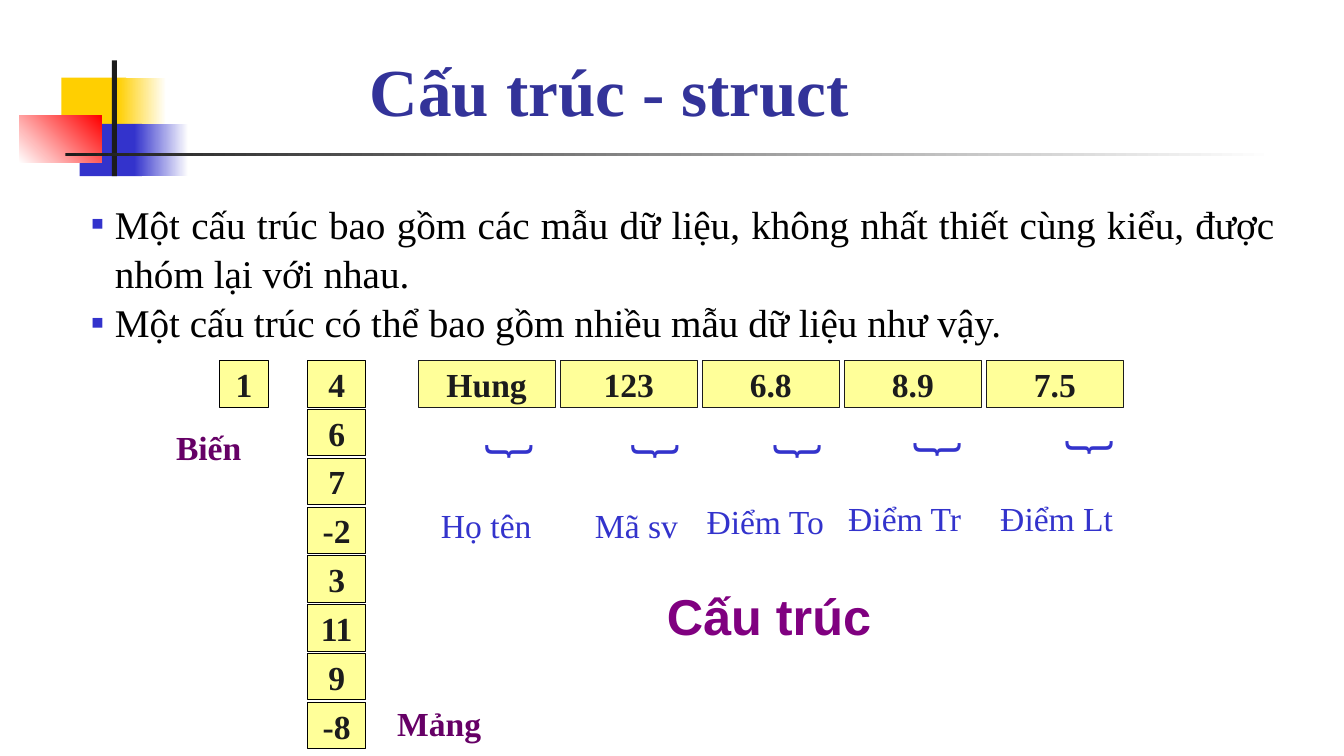
"""Build the slide that compares a variable, an array and a structure."""
from dataclasses import dataclass
from typing import NamedTuple, Optional

import lxml.etree
import pptx
import pptx.dml.color
import pptx.enum.shapes
import pptx.enum.text
import pptx.oxml.ns
import pptx.util

Cm = pptx.util.Cm
Pt = pptx.util.Pt
RGBColor = pptx.dml.color.RGBColor
Align = pptx.enum.text.PP_ALIGN
Anchor = pptx.enum.text.MSO_ANCHOR

WHITE = RGBColor(0xFF, 0xFF, 0xFF)
BLACK = RGBColor(0x00, 0x00, 0x00)
INK = RGBColor(0x1C, 0x1C, 0x1C)
GOLD = RGBColor(0xFF, 0xCF, 0x01)
RED = RGBColor(0xFF, 0x00, 0x00)
BLUE = RGBColor(0x33, 0x33, 0xCC)
TITLE_BLUE = RGBColor(0x33, 0x33, 0x99)
CELL_YELLOW = RGBColor(0xFF, 0xFF, 0x99)
PLUM = RGBColor(0x66, 0x00, 0x66)
PURPLE = RGBColor(0x80, 0x00, 0x80)

SERIF = "Times New Roman"
CELL_TOP = 9.09
CELL_HEIGHT = 1.17
ARRAY_LEFT = 7.75
ARRAY_STEP = 1.23
RECORD_LEFT = 10.54
RECORD_STEP = 3.58
BULLET_INDENT = 0.61


class Frame(NamedTuple):
    """Position and size in centimetres."""
    left: float
    top: float
    width: float
    height: float

    def lengths(self) -> list:
        """Return the four values as lengths."""
        return [Cm(value) for value in self]


@dataclass
class Block:
    """A decorative rectangle, fading to a second colour if one is given."""
    frame: Frame
    color: RGBColor
    fade: Optional[RGBColor] = None
    angle: float = 0


@dataclass
class Field:
    """One member of the record: its value, label and brace."""
    value: str
    label: str
    label_frame: Frame
    brace_frame: Frame


BLOCKS = [
    Block(Frame(1.55, 1.96, 1.63, 1.32), GOLD),
    Block(Frame(2.97, 1.96, 1.22, 1.32), GOLD, WHITE),
    Block(Frame(2.01, 3.12, 1.57, 1.32), BLUE),
    Block(Frame(3.38, 3.12, 1.37, 1.32), BLUE, WHITE),
    Block(Frame(0.48, 2.92, 2.08, 1.17), WHITE, RED, 45),
    Block(Frame(2.82, 1.52, 0.13, 2.92), INK),
    Block(Frame(1.65, 3.86, 30.48, 0.08), INK, WHITE),
]
POINTS = [
    "Một cấu trúc bao gồm các mẫu dữ liệu, không nhất thiết cùng kiểu, được nhóm lại với nhau.",
    "Một cấu trúc có thể bao gồm nhiều mẫu dữ liệu như vậy.",
]
ARRAY_VALUES = ["4", "6", "7", "-2", "3", "11", "9", "-8"]
FIELDS = [
    Field("Hung", "Họ tên ", Frame(10.85, 12.6, 3.02, 1.3), Frame(11.51, 9.88, 1.65, 3.07)),
    Field("123", "Mã sv", Frame(14.73, 12.6, 2.62, 1.3), Frame(15.19, 9.88, 1.65, 3.07)),
    Field("6.8", "Điểm To", Frame(17.53, 12.5, 3.51, 1.3), Frame(18.57, 9.7, 1.68, 3.45)),
    Field("8.9", "Điểm Tr", Frame(21.11, 12.42, 3.38, 1.3), Frame(22.1, 9.63, 1.68, 3.45)),
    Field("7.5", "Điểm Lt", Frame(24.94, 12.42, 3.38, 1.3), Frame(25.93, 9.6, 1.68, 3.45)),
]


def write(para, text: str, *, size: float = 24, color: RGBColor = BLUE,
          bold: bool = False, font: str = SERIF, align: Align = Align.CENTER) -> None:
    """Add formatted text to a paragraph."""
    para.alignment = align
    span = para.add_run()
    span.text = text
    span.font.name = font
    span.font.size = Pt(size)
    span.font.bold = bold
    span.font.color.rgb = color


def add_rectangle(page, frame: Frame):
    """Add a plain rectangle without shadow or line."""
    box = page.shapes.add_shape(pptx.enum.shapes.MSO_SHAPE.RECTANGLE, *frame.lengths())
    box.shadow.inherit = False
    box.line.fill.background()
    return box


def add_block(page, block: Block) -> None:
    """Draw a decorative rectangle."""
    fill = add_rectangle(page, block.frame).fill
    if block.fade is None:
        fill.solid()
        fill.fore_color.rgb = block.color
        return
    fill.gradient()
    fill.gradient_angle = block.angle
    for stop, color in zip(fill.gradient_stops, (block.color, block.fade)):
        stop.color.rgb = color


def add_cell(page, text: str, frame: Frame, border: RGBColor = BLACK) -> None:
    """Draw a memory cell with its value."""
    box = add_rectangle(page, frame)
    box.fill.solid()
    box.fill.fore_color.rgb = CELL_YELLOW
    box.line.color.rgb = border
    box.line.width = Pt(0.75)
    box.text_frame.word_wrap = False
    box.text_frame.vertical_anchor = Anchor.MIDDLE
    write(box.text_frame.paragraphs[0], text, color=INK, bold=True)


def add_label(page, text: str, frame: Frame, rotation: float = 0, **style) -> None:
    """Add an unwrapped text box."""
    box = page.shapes.add_textbox(*frame.lengths())
    box.rotation = rotation
    box.text_frame.word_wrap = False
    write(box.text_frame.paragraphs[0], text, **style)


def place(holder, frame: Frame, anchor: Anchor):
    """Move a placeholder and return its text frame."""
    holder.left, holder.top, holder.width, holder.height = frame.lengths()
    holder.text_frame.auto_size = pptx.enum.text.MSO_AUTO_SIZE.NONE
    holder.text_frame.vertical_anchor = anchor
    return holder.text_frame


def add_bullet(para) -> None:
    """Give a paragraph a blue square bullet with a hanging indent."""
    qualified = pptx.oxml.ns.qn
    properties = para._p.get_or_add_pPr()
    properties.set("marL", str(Cm(BULLET_INDENT)))
    properties.set("indent", str(-Cm(BULLET_INDENT)))
    tint = lxml.etree.SubElement(properties, qualified("a:buClr"))
    lxml.etree.SubElement(tint, qualified("a:srgbClr"), val=str(BLUE))
    lxml.etree.SubElement(properties, qualified("a:buFont"), typeface="Arial")
    lxml.etree.SubElement(properties, qualified("a:buChar"), char="▪")


def fill_placeholders(page) -> None:
    """Write the title and the list."""
    title = place(page.shapes.title, Frame(7.37, 1.12, 16.41, 2.29), Anchor.BOTTOM)
    write(title.paragraphs[0], "Cấu trúc - struct ", size=48, color=TITLE_BLUE, bold=True)
    body = place(page.placeholders[1], Frame(2.03, 4.85, 30.35, 3.84), Anchor.TOP)
    for index, point in enumerate(POINTS):
        para = body.add_paragraph() if index else body.paragraphs[0]
        write(para, point, size=28, color=BLACK, align=Align.JUSTIFY)
        para.line_spacing = 1.05
        para.space_before = Pt(0)
        add_bullet(para)


def main() -> None:
    """Build and save the deck."""
    deck = pptx.Presentation()
    deck.slide_width, deck.slide_height = Cm(33.87), Cm(19.05)
    page = deck.slides.add_slide(deck.slide_layouts[1])
    for block in BLOCKS:
        add_block(page, block)
    fill_placeholders(page)

    add_cell(page, "1", Frame(5.54, CELL_TOP, 1.22, CELL_HEIGHT))
    add_label(page, "Biến", Frame(4.17, 10.64, 2.18, 1.3), color=PLUM, bold=True)
    for row, value in enumerate(ARRAY_VALUES):
        add_cell(page, value, Frame(ARRAY_LEFT, CELL_TOP + row * ARRAY_STEP, 1.47, CELL_HEIGHT))
    add_label(page, "Mảng", Frame(9.75, 17.58, 2.64, 1.27), color=PLUM, bold=True)

    for column, field in enumerate(FIELDS):
        left = RECORD_LEFT + column * RECORD_STEP
        add_cell(page, field.value, Frame(left, CELL_TOP, 3.45, CELL_HEIGHT), INK)
        add_label(page, "}", field.brace_frame, rotation=90, size=36, font="Montserrat")
        add_label(page, field.label, field.label_frame)
    add_label(page, "Cấu trúc", Frame(14.73, 14.61, 9.3, 2.01),
              size=36, color=PURPLE, bold=True, font="Arial")
    deck.save("out.pptx")


if __name__ == "__main__":
    main()
